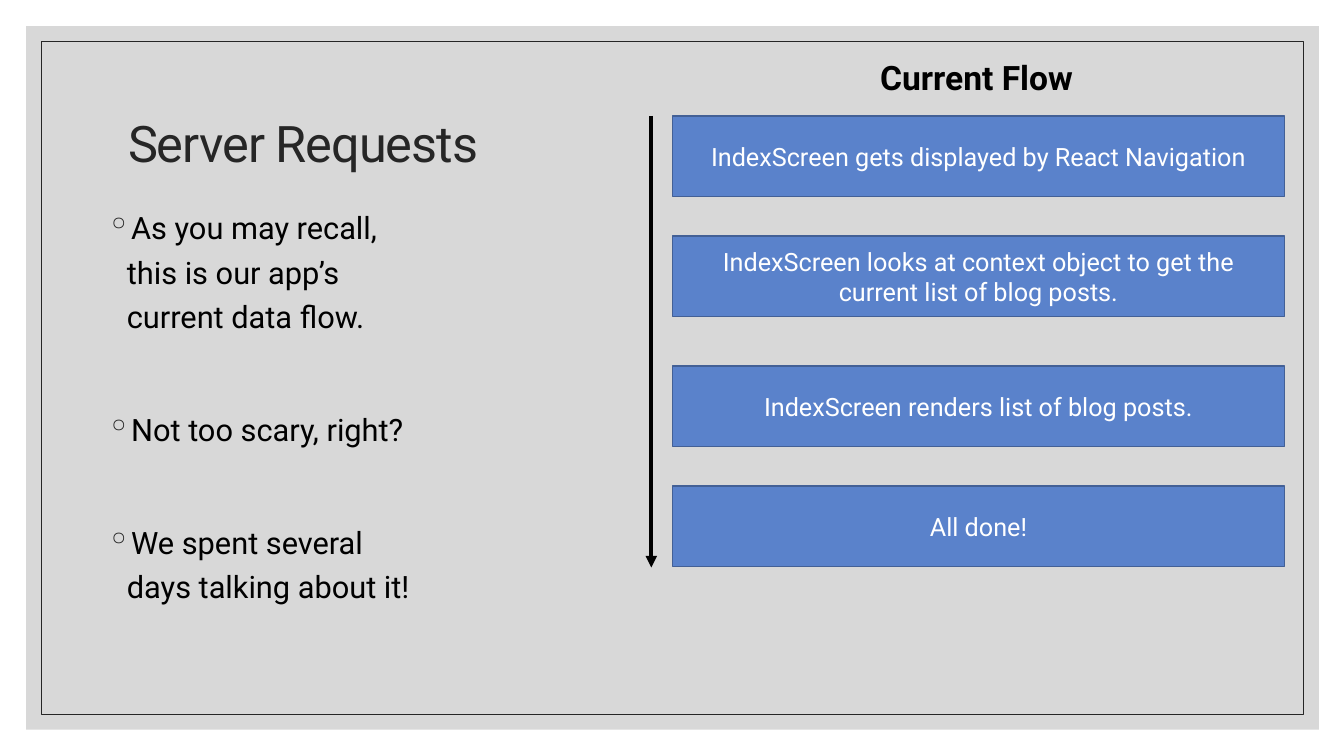
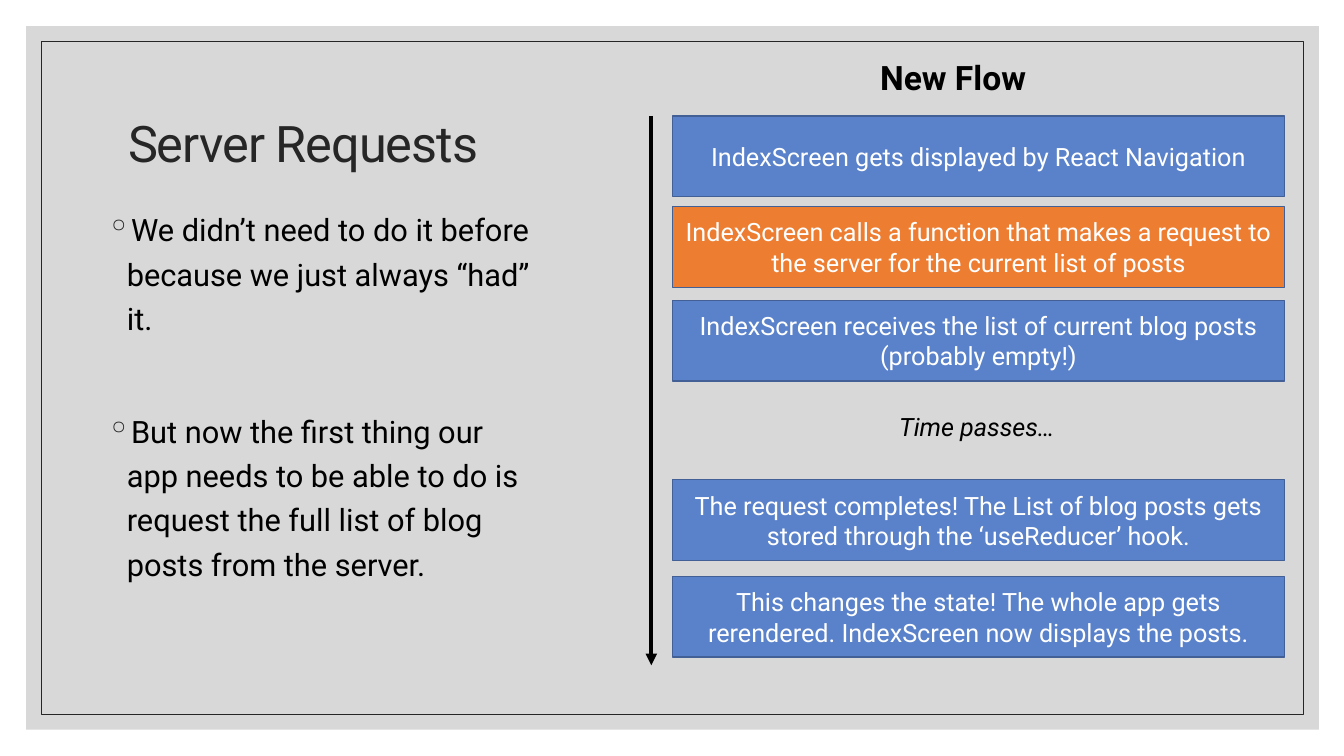
from dataclasses import dataclass

from lxml import etree
from pptx import Presentation
from pptx.dml.color import RGBColor
from pptx.enum import shapes, text
from pptx.oxml import ns
from pptx.util import Inches, Pt


@dataclass(frozen=True)
class Theme:
    font: str = "Roboto"
    ink: str = "000000"
    title: str = "262626"
    panel: str = "BFBFBF"
    panel_alpha: int = 60
    step: str = "5A82CB"
    step_new: str = "ED7D31"
    step_line: str = "436096"
    step_text: str = "FFFFFF"
    title_size: int = 36
    heading_size: int = 24
    body_size: int = 22
    step_size: int = 18


@dataclass(frozen=True)
class Step:
    top: float
    label: str
    is_new: bool = False


@dataclass(frozen=True)
class FlowSlide:
    heading: str
    points: list[str]
    points_top: float
    points_width: float
    steps: list[Step]
    arrow_end: float
    pause: str = ""


THEME = Theme()
TITLE = "Server Requests"
FLOW_TOP = 1.15
STEP_LEFT, STEP_WIDTH, STEP_HEIGHT = 6.67, 6.07, 0.8
ARROW_X = 6.46

FIRST_STEP = Step(FLOW_TOP, "IndexScreen gets displayed by React Navigation")

SLIDES = [
    FlowSlide(
        heading="Current Flow",
        points=[
            "As you may recall, this is our app’s current data flow.",
            "Not too scary, right?",
            "We spent several days talking about it!",
        ],
        points_top=1.95,
        points_width=3.45,
        steps=[
            FIRST_STEP,
            Step(2.34, "IndexScreen looks at context object to get the current list of blog posts."),
            Step(3.63, "IndexScreen renders list of blog posts."),
            Step(4.82, "All done!"),
        ],
        arrow_end=5.63,
    ),
    FlowSlide(
        heading="New Flow",
        points=[
            "We didn’t need to do it before because we just always “had” it.",
            "But now the first thing our app needs to be able to do is request "
            "the full list of blog posts from the server.",
        ],
        points_top=1.97,
        points_width=4.43,
        steps=[
            FIRST_STEP,
            Step(2.05, "IndexScreen calls a function that makes a request to the server "
                       "for the current list of posts", is_new=True),
            Step(2.98, "IndexScreen receives the list of current blog posts (probably empty!)"),
            Step(4.76, "The request completes! The List of blog posts gets stored through "
                       "the ‘useReducer’ hook."),
            Step(5.72, "This changes the state! The whole app gets rerendered. "
                       "IndexScreen now displays the posts."),
        ],
        arrow_end=6.6,
        pause="Time passes…",
    ),
]


def rgb(value: str) -> RGBColor:
    return RGBColor.from_string(value)


def set_font(paragraph, size: int, color: str, bold: bool = False, italic: bool = False) -> None:
    font = paragraph.font
    font.name, font.size = THEME.font, Pt(size)
    font.bold, font.italic = bold, italic
    font.color.rgb = rgb(color)


def add_box(slide, left: float, top: float, width: float, height: float,
            fill: str = "", line: str = "", line_width: float = 1):
    box = slide.shapes.add_shape(shapes.MSO_SHAPE.RECTANGLE, Inches(left), Inches(top),
                                 Inches(width), Inches(height))
    box.shadow.inherit = False
    if fill:
        box.fill.solid()
        box.fill.fore_color.rgb = rgb(fill)
    else:
        box.fill.background()
    if line:
        box.line.color.rgb = rgb(line)
        box.line.width = Pt(line_width)
    else:
        box.line.fill.background()
    return box


def add_frame(slide) -> None:
    """Draw the grey panel and thin border, then hand them to the slide's layout."""
    panel = add_box(slide, 0.26, 0.26, 12.82, 6.98, fill=THEME.panel)
    color = panel.fill._xPr.find(".//" + ns.qn("a:srgbClr"))
    etree.SubElement(color, ns.qn("a:alpha"), val=str(THEME.panel_alpha * 1000))
    border = add_box(slide, 0.41, 0.41, 12.52, 6.68, line=THEME.title, line_width=0.5)
    layout_tree = slide.slide_layout.shapes._spTree
    for index, part in enumerate((panel, border)):
        part._element.nvSpPr.cNvPr.set("id", str(20 + index))
        layout_tree.insert(2 + index, part._element)


def add_title(slide) -> None:
    title = slide.shapes.title
    title.left, title.top = Inches(1.17), Inches(0.7)
    title.width, title.height = Inches(11), Inches(1.5)
    frame = title.text_frame
    frame.text = TITLE
    frame.vertical_anchor = text.MSO_ANCHOR.MIDDLE
    paragraph = frame.paragraphs[0]
    paragraph.alignment = text.PP_ALIGN.LEFT
    paragraph.line_spacing = 0.9
    set_font(paragraph, THEME.title_size, THEME.title)
    paragraph.runs[0]._r.get_or_add_rPr().set("spc", "-70")


def add_bullet(paragraph) -> None:
    properties = paragraph._p.get_or_add_pPr()
    properties.set("marL", str(Inches(0.2)))
    properties.set("indent", str(Inches(-0.2)))
    color = etree.SubElement(properties, ns.qn("a:buClr"))
    etree.SubElement(color, ns.qn("a:srgbClr"), val=THEME.title)
    etree.SubElement(properties, ns.qn("a:buChar"), char="◦")


def add_points(slide, flow: FlowSlide) -> None:
    box = slide.shapes.add_textbox(Inches(0.96), Inches(flow.points_top),
                                   Inches(flow.points_width), Inches(4.71))
    frame = box.text_frame
    frame.word_wrap = True
    for index, point in enumerate(flow.points):
        paragraph = frame.add_paragraph() if index else frame.paragraphs[0]
        paragraph.text = point
        add_bullet(paragraph)
        paragraph.line_spacing = 1.2
        paragraph.space_before = Pt(49 if index else 0)
        set_font(paragraph, THEME.body_size, THEME.ink)


def add_label(slide, label: str, left: float, top: float, height: float, size: int,
              bold: bool = False, italic: bool = False) -> None:
    box = slide.shapes.add_textbox(Inches(left), Inches(top), Inches(2.45), Inches(height))
    box.text_frame.word_wrap = True
    box.text_frame.text = label
    set_font(box.text_frame.paragraphs[0], size, THEME.ink, bold, italic)


def add_step(slide, step: Step) -> None:
    box = add_box(slide, STEP_LEFT, step.top, STEP_WIDTH, STEP_HEIGHT,
                  fill=THEME.step_new if step.is_new else THEME.step, line=THEME.step_line)
    frame = box.text_frame
    frame.word_wrap = True
    frame.vertical_anchor = text.MSO_ANCHOR.MIDDLE
    frame.text = step.label
    paragraph = frame.paragraphs[0]
    paragraph.alignment = text.PP_ALIGN.CENTER
    set_font(paragraph, THEME.step_size, THEME.step_text)


def add_time_arrow(slide, end: float) -> None:
    arrow = slide.shapes.add_connector(shapes.MSO_CONNECTOR.STRAIGHT, Inches(ARROW_X),
                                       Inches(FLOW_TOP), Inches(ARROW_X), Inches(end))
    arrow.line.color.rgb = rgb(THEME.ink)
    arrow.line.width = Pt(2.75)
    etree.SubElement(arrow.line._get_or_add_ln(), ns.qn("a:tailEnd"), type="triangle")
    etree.SubElement(arrow._element.spPr, ns.qn("a:effectLst"))


def add_flow_slide(slide, flow: FlowSlide) -> None:
    # Left: title and talking points
    add_title(slide)
    add_points(slide, flow)

    # Right: the flow, read downwards
    add_label(slide, flow.heading, 8.63, 0.52, 0.5, THEME.heading_size, bold=True)
    add_time_arrow(slide, flow.arrow_end)
    for step in flow.steps:
        add_step(slide, step)
    if flow.pause:
        add_label(slide, flow.pause, 8.82, 4.03, 0.4, THEME.step_size, italic=True)


def main() -> None:
    deck = Presentation()
    deck.slide_width, deck.slide_height = Inches(13.33), Inches(7.5)
    title_only = deck.slide_layouts[5]
    for index, flow in enumerate(SLIDES):
        slide = deck.slides.add_slide(title_only)
        if index == 0:
            add_frame(slide)
        add_flow_slide(slide, flow)
    deck.save("out.pptx")


if __name__ == "__main__":
    main()
